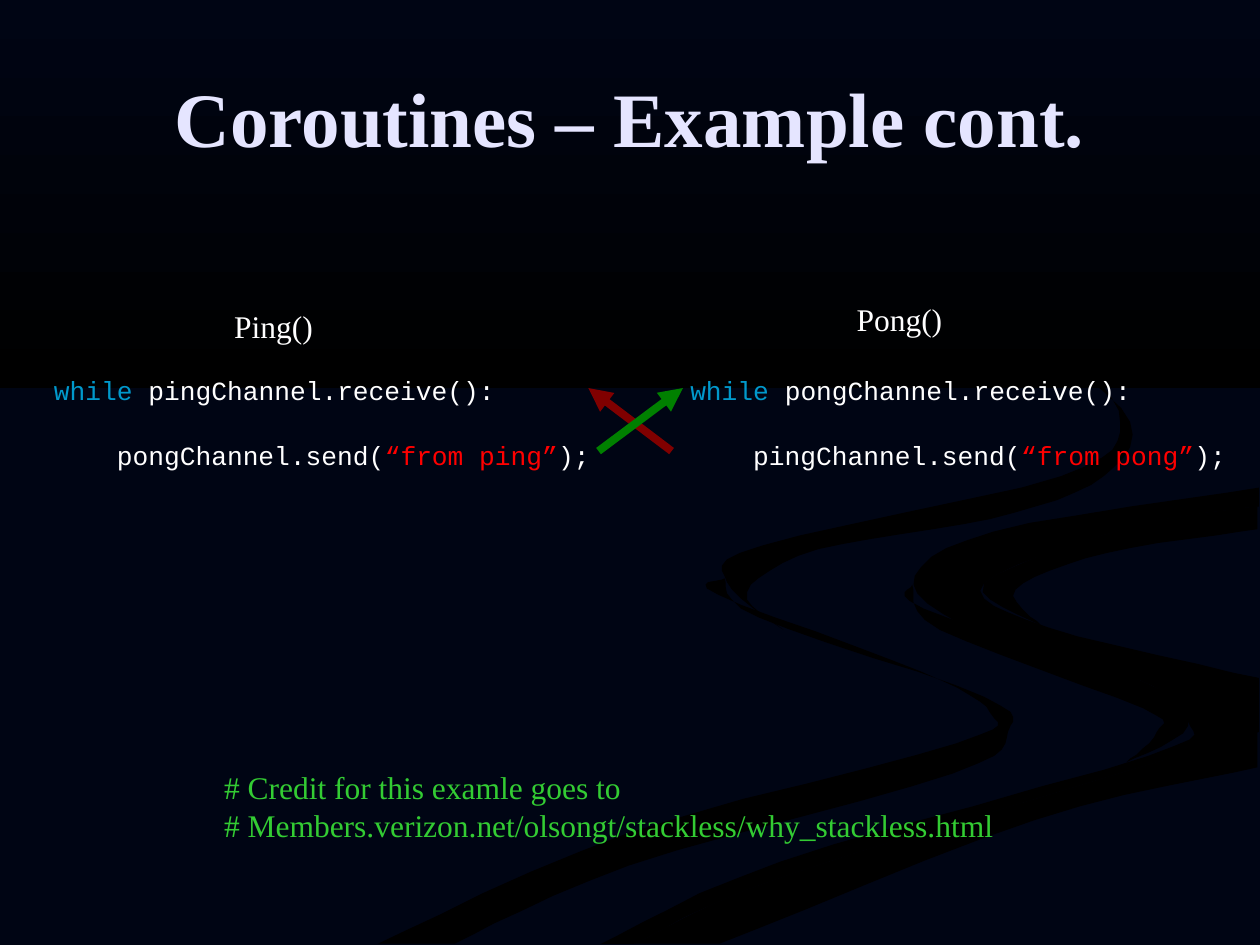
import pptx
import pptx.util
import pptx.dml.color
import pptx.enum.text
import pptx.enum.shapes
import pptx.oxml

PX = 9144
STEPS = 6
SERIF, MONO = "Times New Roman", "Courier New"
WHITE, BLUE, RED, GREEN = "FFFFFF", "0099CC", "FF0000", "33CC33"
NIGHT, BLACK = "000514", "000000"

RIBBONS = [
    [[(300, 749), (499, 661), (759, 590), (786, 566), (731, 533), (570, 472), (575, 459)],
     [(575, 459), (602, 490), (781, 553), (800, 581), (756, 614), (499, 687), (361, 749)]],
    [[(724, 464), (746, 500), (907, 562), (918, 581), (894, 605)],
     [(894, 605), (943, 576), (905, 540), (733, 483), (724, 464)]],
    [[(503, 749), (630, 693), (998, 581)],
     [(998, 609), (821, 651), (571, 749)]],
    [[(477, 749), (619, 684), (911, 600), (943, 573), (905, 540), (793, 509),
      (725, 464), (788, 422), (999, 387)],
     [(999, 402), (899, 418), (781, 463), (832, 498), (999, 538)],
     [(999, 581), (630, 693), (503, 749)]],
    [[(998, 402), (898, 418), (781, 463), (826, 496)],
     [(826, 496), (806, 468), (878, 439), (998, 420)]],
    [[(762, 233), (846, 279), (889, 335), (842, 378), (605, 433), (577, 462), (622, 500)],
     [(622, 500), (593, 470), (649, 436), (786, 412), (876, 378), (890, 324), (762, 233)]],
]


def code(recv, send):
    return [[("while", BLUE), (f" {recv}Channel.receive():", WHITE)],
            [(f"    {send}Channel.send(", WHITE), (f"“from {recv}”", RED),
             (");", WHITE)]]


TEXTS = [
    ((50, 30, 900, 125), SERIF, 44, 0, [[("Coroutines – Example cont.", "E5E5FF")]]),
    ((176, 239, 90, 40), SERIF, 18, 0, [[("Ping()", WHITE)]]),
    ((670, 233, 96, 40), SERIF, 18, 0, [[("Pong()", WHITE)]]),
    ((33, 292, 445, 85), MONO, 15, 19, code("ping", "pong")),
    ((538, 292, 445, 85), MONO, 15, 19, code("pong", "ping")),
    ((168, 605, 737, 70), SERIF, 18, 0, [
        [("# Credit for this examle goes to", GREEN)],
        [("# Members.verizon.net/olsongt/stackless/why_stackless.html", GREEN)]]),
]
ARROWS = [((533, 358), (467, 308), "800000"), ((475, 358), (542, 308), "008000")]


def color(code):
    return pptx.dml.color.RGBColor.from_string(code)


def emu(nums):
    return [n * PX for n in nums]


def clean(shape):
    shape.shadow.inherit = False
    shape.line.fill.background()


def blend(a, b, c, d, t):
    return (2 * b + (c - a) * t + (2 * a - 5 * b + 4 * c - d) * t ** 2
            + (3 * b - a - 3 * c + d) * t ** 3) / 2


def curve(knots):
    ends = [knots[0], *knots, knots[-1]]
    pts = [tuple(blend(*axis, n / STEPS) for axis in zip(*ends[i:i + 4]))
           for i in range(len(knots) - 1) for n in range(STEPS)]
    return pts + [knots[-1]]


def ribbon(slide, edges):
    pts = [pt for edge in edges for pt in curve(edge)]
    form = slide.shapes.build_freeform(*pts[0], scale=PX)
    form.add_line_segments(pts[1:], close=True)
    shape = form.convert_to_shape()
    clean(shape)
    shape.fill.solid()
    shape.fill.fore_color.rgb = color(BLACK)


def sky(slide):
    kind = pptx.enum.shapes.MSO_SHAPE.RECTANGLE
    shape = slide.shapes.add_shape(kind, *emu((0, 0, 1000, 308)))
    clean(shape)
    shape.fill.gradient()
    shape.fill.gradient_angle = 270
    for stop, tint, pos in zip(shape.fill.gradient_stops, (NIGHT, BLACK), (0, 1)):
        stop.color.rgb = color(tint)
        stop.position = pos


def text(slide, box, face, size, gap, lines):
    frame = slide.shapes.add_textbox(*emu(box)).text_frame
    title = size == 44
    frame.word_wrap = title
    if title:
        frame.vertical_anchor = pptx.enum.text.MSO_ANCHOR.MIDDLE
    for i, line in enumerate(lines):
        para = frame.add_paragraph() if i else frame.paragraphs[0]
        if i and gap:
            para.space_before = pptx.util.Pt(gap)
        if title:
            para.alignment = pptx.enum.text.PP_ALIGN.CENTER
        for words, tint in line:
            run = para.add_run()
            run.text = words
            run.font.name = face
            run.font.size = pptx.util.Pt(size)
            run.font.bold = title
            run.font.color.rgb = color(tint)


def arrow(slide, start, end, tint):
    kind = pptx.enum.shapes.MSO_CONNECTOR.STRAIGHT
    link = slide.shapes.add_connector(kind, *emu(start + end))
    link.line.width = pptx.util.Pt(4.5)
    link.line.color.rgb = color(tint)
    space = pptx.oxml.ns.nsdecls("a")
    spot = link._element.spPr
    head = pptx.oxml.parse_xml(f'<a:tailEnd {space} type="triangle"/>')
    spot.find(pptx.oxml.ns.qn("a:ln")).append(head)
    spot.append(pptx.oxml.parse_xml(f"<a:effectLst {space}/>"))


def main():
    deck = pptx.Presentation()
    deck.slide_width, deck.slide_height = emu((1000, 750))
    slide = deck.slides.add_slide(deck.slide_layouts[6])
    slide.background.fill.solid()
    slide.background.fill.fore_color.rgb = color(NIGHT)
    for edges in RIBBONS:
        ribbon(slide, edges)
    sky(slide)
    for item in TEXTS:
        text(slide, *item)
    for item in ARROWS:
        arrow(slide, *item)
    deck.save("out.pptx")


if __name__ == "__main__":
    main()
